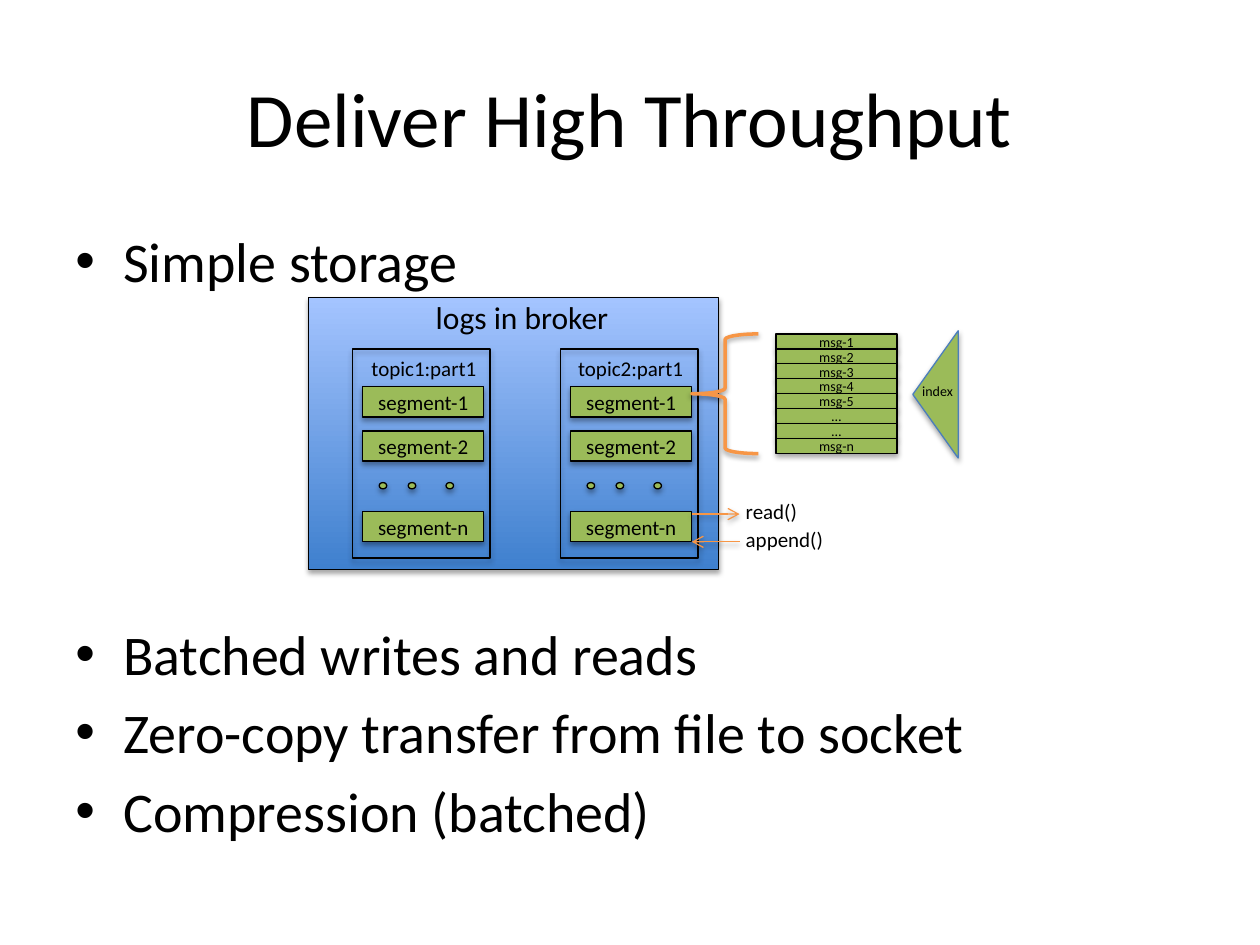
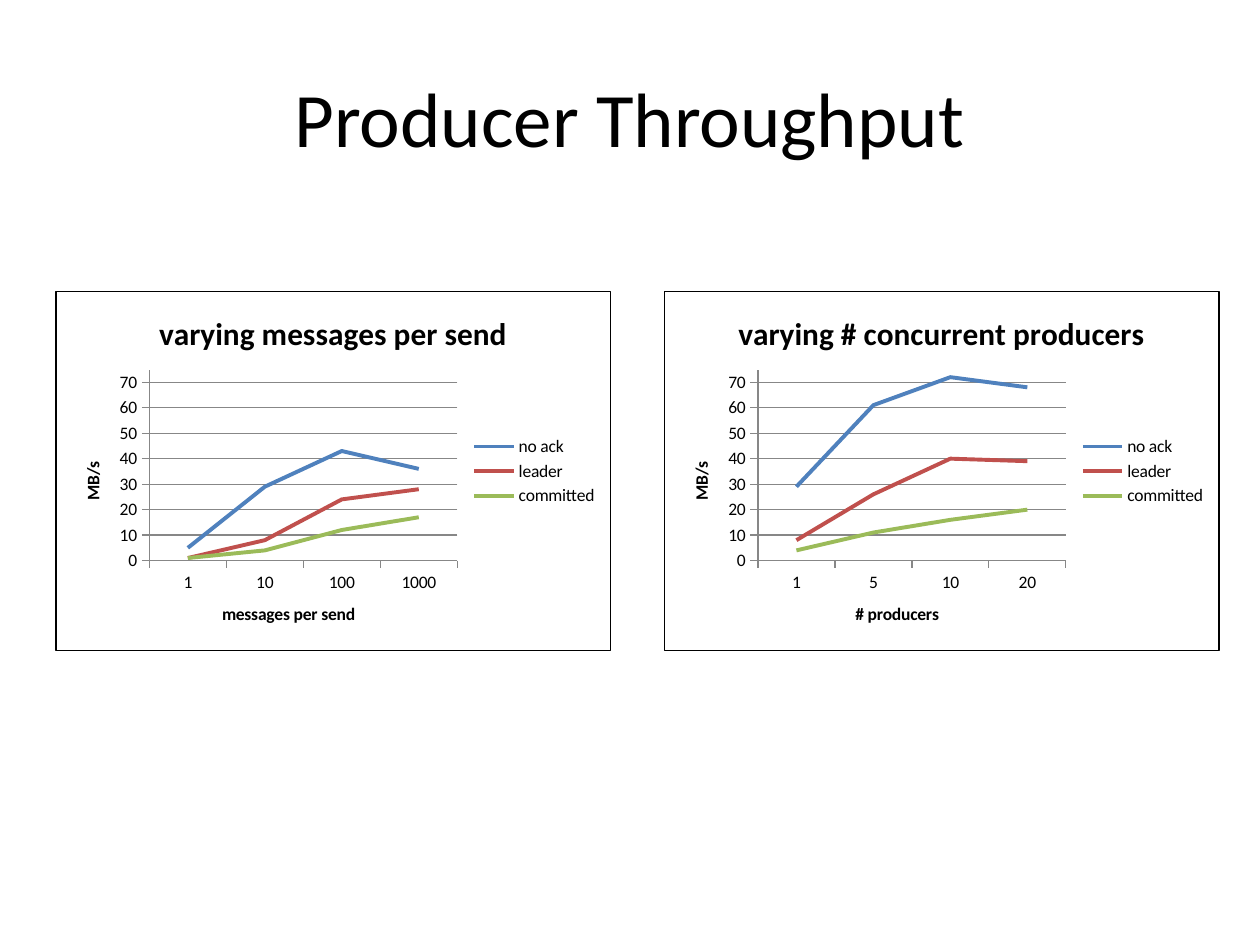
from lxml import etree
from pptx import Presentation
from pptx.chart.data import CategoryChartData
from pptx.dml.color import RGBColor
from pptx.enum.chart import XL_CHART_TYPE, XL_LEGEND_POSITION, XL_TICK_MARK
from pptx.enum.shapes import MSO_CONNECTOR, MSO_SHAPE
from pptx.enum.text import MSO_ANCHOR, MSO_AUTO_SIZE, PP_ALIGN
from pptx.oxml import parse_xml
from pptx.oxml.ns import nsdecls, qn
from pptx.util import Inches, Pt

RECT, OVAL = MSO_SHAPE.RECTANGLE, MSO_SHAPE.OVAL
BRACE, TRIANGLE = MSO_SHAPE.LEFT_BRACE, MSO_SHAPE.ISOSCELES_TRIANGLE
STRAIGHT = MSO_CONNECTOR.STRAIGHT
MIDDLE, CENTER = MSO_ANCHOR.MIDDLE, PP_ALIGN.CENTER
GROW = MSO_AUTO_SIZE.SHAPE_TO_FIT_TEXT
LINE, RIGHT, OUTSIDE = XL_CHART_TYPE.LINE, XL_LEGEND_POSITION.RIGHT, XL_TICK_MARK.OUTSIDE

FONT = "Calibri"
COLORS = {
    "black": "000000", "white": "FFFFFF", "green": "9BBB59", "orange": "F79646",
    "edge": "4B7EBC", "broker_low": "3F80CE", "broker_high": "A4C4FF",
    "blue": "4F81BD", "red": "C0504D", "axis": "878787",
}
RGB = {name: RGBColor.from_string(value) for name, value in COLORS.items()}


def add_text(tf, text, size=12, bold=False, align=None, before=None, bullet=False):
    """Add a formatted paragraph, using the empty first one if there is one."""
    p = tf.paragraphs[0]
    if p.runs:
        p = tf.add_paragraph()
    if align is not None:
        p.alignment = align
    if before is not None:
        p.space_before = Pt(before)
    if bullet:
        pPr = p._p.get_or_add_pPr()
        pPr.set("marL", str(Inches(0.38)))
        pPr.set("indent", str(-Inches(0.38)))
        etree.SubElement(pPr, qn("a:buFont")).set("typeface", "Arial")
        etree.SubElement(pPr, qn("a:buChar")).set("char", "•")
    r = p.add_run()
    r.text = text
    r.font.name, r.font.size, r.font.bold = FONT, Pt(size), bold
    r.font.color.rgb = RGB["black"]


def style(sp, fill=None, line="black", width=0.75, opacity=35, dist=1.8, arrow=None):
    """Set fill, outline, arrowhead and soft shadow of a shape or connector."""
    if fill:
        sp.fill.solid()
        sp.fill.fore_color.rgb = RGB[fill]
    elif hasattr(sp, "fill"):
        sp.fill.background()
    sp.line.color.rgb = RGB[line]
    sp.line.width = Pt(width)
    if arrow:
        etree.SubElement(sp.line._get_or_add_ln(), qn("a:" + arrow)).set("type", "arrow")
    sp._element.spPr.append(parse_xml(
        f'<a:effectLst {nsdecls("a")}><a:outerShdw blurRad="{Pt(3.1)}" dist="{Pt(dist)}" '
        f'dir="5400000" rotWithShape="0"><a:srgbClr val="{COLORS["black"]}">'
        f'<a:alpha val="{opacity * 1000}"/></a:srgbClr></a:outerShdw></a:effectLst>'))


prs = Presentation()
prs.slide_width, prs.slide_height = Inches(10), Inches(7.5)

# Slides and their shared title style
slides = []
for title in ("Deliver High Throughput", "Producer Throughput"):
    s = prs.slides.add_slide(prs.slide_layouts[6])
    tf = s.shapes.add_textbox(Inches(0.5), Inches(0.3), Inches(9), Inches(1.25)).text_frame
    tf.word_wrap, tf.vertical_anchor = True, MIDDLE
    add_text(tf, title, size=44, align=CENTER)
    slides.append(s)
storage, throughput = slides

# Slide 1: bullets, with room for the diagram after the first
tf = storage.shapes.add_textbox(Inches(0.5), Inches(1.75), Inches(9), Inches(4.95)).text_frame
tf.word_wrap = True
for text, before in (("Simple storage", 6.4), ("Batched writes and reads", 186),
                     ("Zero-copy transfer from file to socket", 6.4),
                     ("Compression (batched)", 6.4)):
    add_text(tf, text, size=32, before=before, bullet=True)

# Broker
broker = storage.shapes.add_shape(RECT, Inches(2.45), Inches(2.36), Inches(3.25), Inches(2.16))
style(broker)
broker.fill.gradient()
broker.fill.gradient_angle = 90
for stop, name in zip(broker.fill.gradient_stops, ("broker_low", "broker_high")):
    stop.color.rgb = RGB[name]

# Partitions: frame, and three dots between the segments
boxes = []
for left in (2.8, 4.45):
    frame = storage.shapes.add_shape(RECT, Inches(left), Inches(2.77), Inches(1.09), Inches(1.66))
    style(frame)
    dots = storage.shapes.add_group_shape()
    for offset in (0.21, 0.44, 0.74):
        dot = dots.shapes.add_shape(OVAL, Inches(left + offset), Inches(3.83),
                                    Inches(0.06), Inches(0.05))
        style(dot, fill="green")
    for text, top in (("segment-1", 3.07), ("segment-2", 3.42), ("segment-n", 4.06)):
        boxes.append((text, left + 0.08, top, 0.24, 12))

# Segments, and the messages inside one of them
messages = ("msg-1", "msg-2", "msg-3", "msg-4", "msg-5", "…", "…", "msg-n")
for i, text in enumerate(messages):
    boxes.append((text, 6.16, 2.65 + 0.95 / 8 * i, 0.12, 8))
for text, left, top, height, size in boxes:
    box = storage.shapes.add_shape(RECT, Inches(left), Inches(top), Inches(0.96), Inches(height))
    style(box, fill="green")
    box.text_frame.vertical_anchor = MIDDLE
    add_text(box.text_frame, text, size=size, align=CENTER)

# Calls on the last segment
for y, arrow in ((4.08, "headEnd"), (4.3, "tailEnd")):
    call = storage.shapes.add_connector(STRAIGHT, Inches(5.87), Inches(y), Inches(5.49), Inches(y))
    style(call, line="orange", opacity=38, dist=1.6, arrow=arrow)

# Brace and index
brace = storage.shapes.add_shape(BRACE, Inches(5.49), Inches(2.65), Inches(0.53), Inches(0.95))
style(brace, line="orange", width=2, opacity=38, dist=1.6)
index = storage.shapes.add_shape(TRIANGLE, Inches(6.92), Inches(2.95), Inches(1.01), Inches(0.36))
index.rotation = 270
style(index, fill="green", line="edge")

# Labels
for text, left, top, width, height, size in (
        ("logs in broker", 3.36, 2.32, 1.59, 0.4, 18),
        ("topic1:part1", 2.85, 2.77, 1.04, 0.3, 12),
        ("topic2:part1", 4.49, 2.77, 1.04, 0.3, 12),
        ("read()", 5.82, 3.91, 0.61, 0.3, 12),
        ("append()", 5.82, 4.13, 0.82, 0.3, 12),
        ("index", 7.22, 2.99, 0.45, 0.24, 8)):
    tf = storage.shapes.add_textbox(Inches(left), Inches(top), Inches(width),
                                    Inches(height)).text_frame
    tf.word_wrap, tf.auto_size = False, GROW
    add_text(tf, text, size=size)

# Slide 2: two line charts side by side
SERIES = (("no ack", "blue"), ("leader", "red"), ("committed", "green"))
charts = (
    ("varying messages per send", "messages per send", ("1", "10", "100", "1000"),
     ((5, 29, 43, 36), (1, 8, 24, 28), (1, 4, 12, 17))),
    ("varying # concurrent producers", "# producers", ("1", "5", "10", "20"),
     ((29, 61, 72, 68), (8, 26, 40, 39), (4, 11, 16, 20))),
)
for i, (title, category_title, categories, rows) in enumerate(charts):
    data = CategoryChartData()
    data.categories = categories
    for (name, color), values in zip(SERIES, rows):
        data.add_series(name, values)
    chart = throughput.shapes.add_chart(LINE, Inches(0.44 + 4.83 * i), Inches(2.31),
                                        Inches(4.41), Inches(2.86), data).chart
    chart.font.name, chart.font.size = FONT, Pt(10)
    chart.font.color.rgb = RGB["black"]
    add_text(chart.chart_title.text_frame, title, size=18, bold=True)
    chart.chart_title.include_in_layout = False
    chart.has_legend = True
    chart.legend.position, chart.legend.include_in_layout = RIGHT, False

    # Axes
    for axis, text in ((chart.category_axis, category_title), (chart.value_axis, "MB/s")):
        add_text(axis.axis_title.text_frame, text, size=10, bold=True)
        axis.major_tick_mark = OUTSIDE
        axis.format.line.color.rgb = RGB["axis"]
    axis = chart.value_axis
    axis.minimum_scale, axis.maximum_scale, axis.major_unit = 0, 75, 10
    axis.major_gridlines.format.line.color.rgb = RGB["axis"]

    # Series
    chart.plots[0].vary_by_categories = False
    for series, (name, color) in zip(chart.plots[0].series, SERIES):
        series.smooth = False
        series.format.line.color.rgb = RGB[color]
        series.format.line.width = Pt(2.25)

    # Chart border
    chart._chartSpace.find(qn("c:chart")).addnext(parse_xml(
        f'<c:spPr {nsdecls("c", "a")}><a:solidFill><a:srgbClr val="{COLORS["white"]}"/>'
        f'</a:solidFill><a:ln w="{Pt(0.75)}"><a:solidFill><a:srgbClr val="{COLORS["black"]}"/>'
        '</a:solidFill></a:ln></c:spPr>'))

prs.save("out.pptx")
